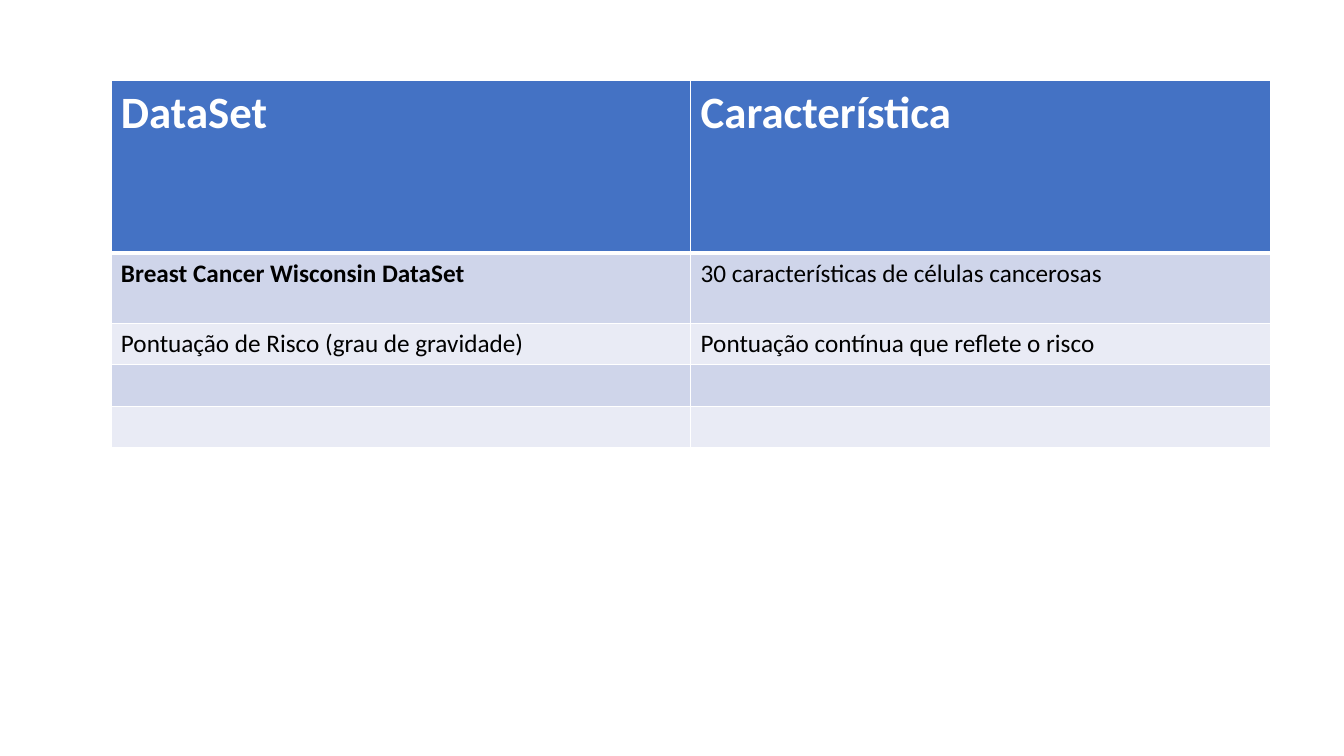
import pptx
import pptx.dml.color
import pptx.oxml
import pptx.util
from pptx.util import Inches

ROWS = [
    ("DataSet", "Característica"),
    ("Breast Cancer Wisconsin DataSet", "30 características de células cancerosas"),
    ("Pontuação de Risco (grau de gravidade)", "Pontuação contínua que reflete o risco"),
    ("", ""),
    ("", ""),
]
ROW_HEIGHTS = [1.71, 0.7, 0.41, 0.41, 0.41]
HEADER_FILL = "4472C4"
BAND_FILLS = ["E9EBF5", "CFD5EA"]
WHITE = "FFFFFF"
BLACK = "000000"


def color(hex_value):
    return pptx.dml.color.RGBColor.from_string(hex_value)


def set_borders(cell, widths):
    """Draw white cell borders; widths maps a side to points."""
    properties = cell._tc.get_or_add_tcPr()
    for position, (side, points) in enumerate(widths.items()):
        border = pptx.oxml.parse_xml(
            f'<a:{side} xmlns:a="http://schemas.openxmlformats.org/drawingml/2006/main"'
            f' w="{pptx.util.Pt(points)}"><a:solidFill><a:srgbClr val="{WHITE}"/>'
            f'</a:solidFill></a:{side}>')
        properties.insert(position, border)


def style_cell(cell, text, row, column):
    header = row == 0
    cell.text = text
    cell.fill.solid()
    cell.fill.fore_color.rgb = color(HEADER_FILL if header else BAND_FILLS[row % 2])
    font = cell.text_frame.paragraphs[0].font
    font.name = "Calibri"
    font.size = pptx.util.Pt(32 if header else 18)
    font.bold = header or (row == 1 and column == 0)
    font.color.rgb = color(WHITE if header else BLACK)
    set_borders(cell, {"lnL": 1, "lnR": 1,
                       "lnT": 3 if row == 1 else 1,
                       "lnB": 3 if header else 1})


def add_dataset_table(slide, left, top, width):
    column_count = len(ROWS[0])
    table = slide.shapes.add_table(
        len(ROWS), column_count, Inches(left), Inches(top),
        Inches(width), Inches(sum(ROW_HEIGHTS))).table
    for column in table.columns:
        column.width = Inches(width / column_count)
    for row, (texts, height) in enumerate(zip(ROWS, ROW_HEIGHTS)):
        table.rows[row].height = Inches(height)
        for column, text in enumerate(texts):
            style_cell(table.cell(row, column), text, row, column)


def main():
    presentation = pptx.Presentation()
    presentation.slide_width = Inches(13.33)
    presentation.slide_height = Inches(7.5)
    # Blank layout
    slide = presentation.slides.add_slide(presentation.slide_layouts[6])
    add_dataset_table(slide, 1.1, 0.8, 11.5)
    presentation.save("out.pptx")


if __name__ == "__main__":
    main()
